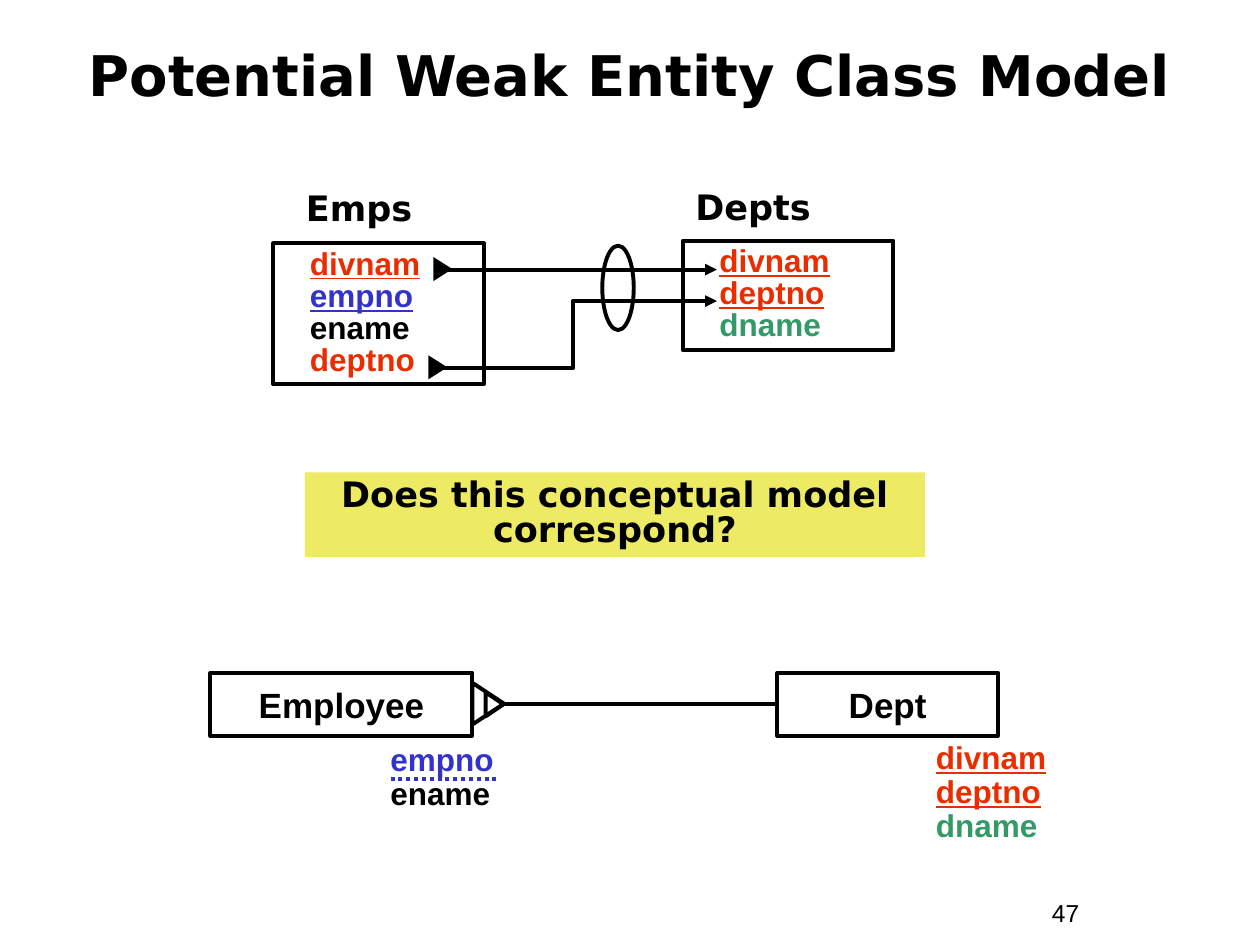
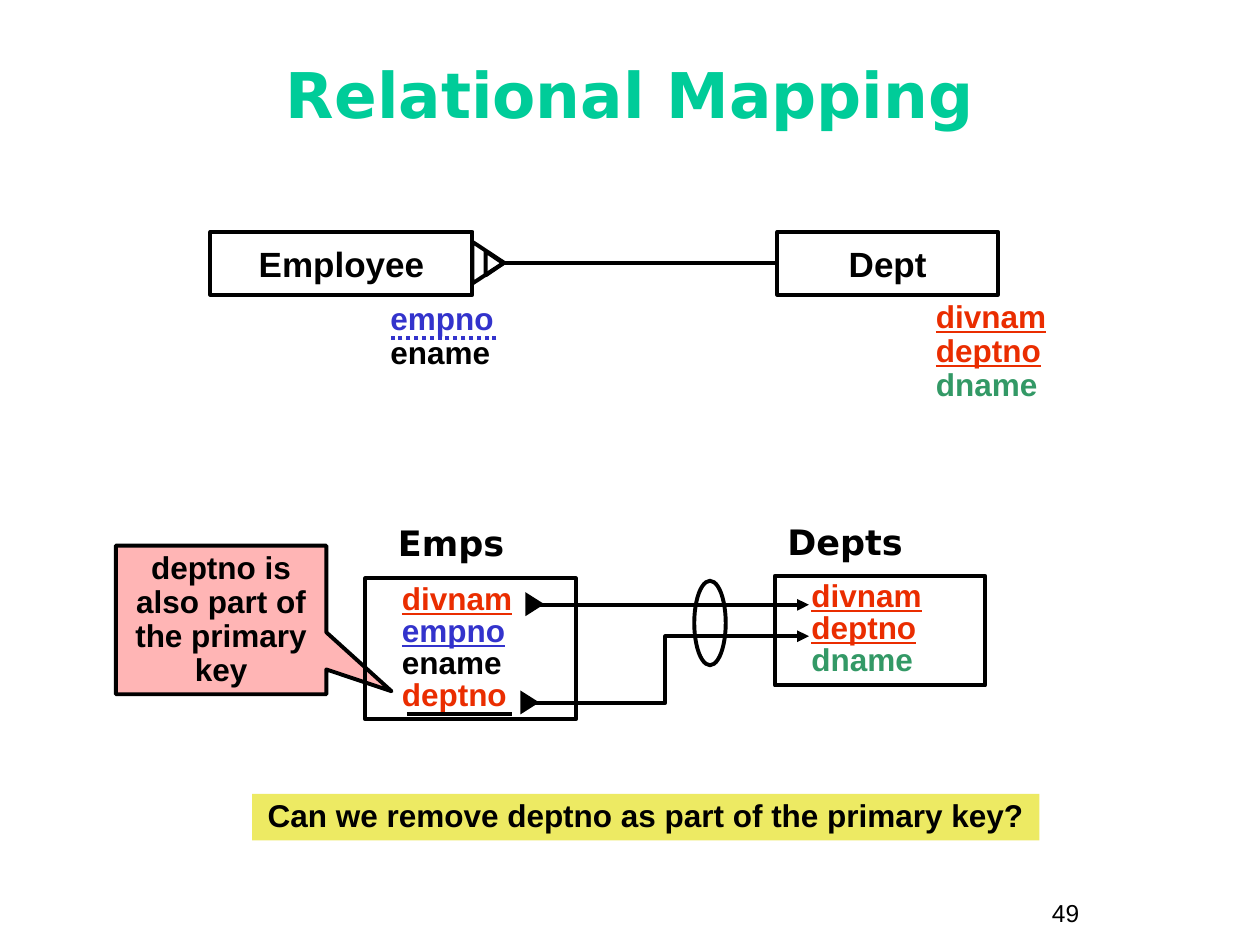
from lxml import etree
from pptx import Presentation
from pptx import util as u
from pptx.dml.color import RGBColor
from pptx.enum import dml, shapes, text
from pptx.oxml.ns import qn

BLACK = RGBColor(0x00, 0x00, 0x00)
RED = RGBColor(0xEA, 0x2D, 0x00)
BLUE = RGBColor(0x33, 0x33, 0xCC)
GREEN = RGBColor(0x33, 0x99, 0x66)
MINT = RGBColor(0x00, 0xCC, 0x99)
YELLOW = RGBColor(0xED, 0xEA, 0x63)
PINK = RGBColor(0xFF, 0xB5, 0xB5)

SANS, HEADING = "Arial", "DejaVu Sans"
COLUMNS, ROWS = 100, 75
LEFT, CENTER = text.PP_ALIGN.LEFT, text.PP_ALIGN.CENTER
TOP, MIDDLE = text.MSO_ANCHOR.TOP, text.MSO_ANCHOR.MIDDLE
KIND = shapes.MSO_SHAPE
LINK = shapes.MSO_CONNECTOR

# Attributes as (name, colour, underlined)
DEPT_ATTRIBUTES = [("divnam", RED, True), ("deptno", RED, True), ("dname", GREEN, False)]
EMPLOYEE_ATTRIBUTES = [("empno", BLUE, False), ("ename", BLACK, False)]
EMPS_COLUMNS = [("divnam", RED, True), ("empno", BLUE, True),
                ("ename", BLACK, False), ("deptno", RED, False)]


class Sketch:
    """Holds the deck, its style and the current page; lengths are grid columns and rows."""

    line_width = u.Pt(2.25)

    def __init__(self):
        self.deck = Presentation()
        self.deck.slide_width, self.deck.slide_height = u.Inches(10), u.Inches(7.5)
        self.page = None

    def x(self, columns):
        return round(self.deck.slide_width * columns / COLUMNS)

    def y(self, rows):
        return round(self.deck.slide_height * rows / ROWS)

    def area(self, left, top, width, height):
        return self.x(left), self.y(top), self.x(width), self.y(height)

    def start(self, title, top, size, color, number):
        self.page = self.deck.slides.add_slide(self.deck.slide_layouts[6])
        self.label((82.5, 70.8, 9.2, 3.4), [(number, BLACK, False)], size=14, bold=False)
        self.label((2.5, top, 95, 9.2), [(title, color, False)], size=size, name=HEADING,
                   align=CENTER, anchor=MIDDLE, spacing=0.85)

    def fill_text(self, box, lines, size=18, name=SANS, bold=True, align=LEFT,
                  anchor=TOP, spacing=1.0, indent=0.0):
        frame = box.text_frame
        layout = {"word_wrap": True, "vertical_anchor": anchor,
                  "margin_left": u.Inches(0.1 + indent), "margin_right": u.Inches(0.1),
                  "margin_top": u.Inches(0.05), "margin_bottom": u.Inches(0.05)}
        for key, value in layout.items():
            setattr(frame, key, value)
        for index, (words, color, underlined) in enumerate(lines):
            para = frame.add_paragraph() if index else frame.paragraphs[0]
            para.alignment, para.line_spacing = align, spacing
            span = para.add_run()
            span.text = words
            look = {"name": name, "size": u.Pt(size), "bold": bold, "underline": underlined}
            for key, value in look.items():
                setattr(span.font, key, value)
            span.font.color.rgb = color

    def label(self, area, lines, **style):
        self.fill_text(self.page.shapes.add_textbox(*self.area(*area)), lines, **style)

    def shape(self, kind, area, fill=None, outlined=True, lines=(), turn=0, **style):
        box = self.page.shapes.add_shape(kind, *self.area(*area))
        box.shadow.inherit = False
        box.rotation = turn
        if fill is None:
            box.fill.background()
        else:
            box.fill.solid()
            box.fill.fore_color.rgb = fill
        if outlined:
            box.line.color.rgb, box.line.width = BLACK, self.line_width
        else:
            box.line.fill.background()
        if lines:
            self.fill_text(box, lines, **style)
        return box

    def line(self, start, end, kind=LINK.STRAIGHT, color=BLACK, dash=None, arrow=False):
        link = self.page.shapes.add_connector(
            kind, self.x(start[0]), self.y(start[1]), self.x(end[0]), self.y(end[1]))
        link.line.color.rgb, link.line.width = color, self.line_width
        if dash:
            link.line.dash_style = dash
        properties = link._element.spPr
        if arrow:
            etree.SubElement(properties.find(qn("a:ln")), qn("a:tailEnd"), type="triangle")
        etree.SubElement(properties, qn("a:effectLst"))

    def banner(self, area, question, **style):
        self.shape(KIND.RECTANGLE, area, YELLOW, False, [(question, BLACK, False)],
                   align=CENTER, **style)

    def entity_model(self, top):
        # Entity boxes and their relationship
        for name, left, width in (("Dept", 61.7, 17.5), ("Employee", 16.7, 20.8)):
            self.shape(KIND.RECTANGLE, (left, top, width, 5), lines=[(name, BLACK, False)],
                       size=20, align=CENTER, anchor=MIDDLE)
        self.line((61.5, top + 2.5), (40, top + 2.5))
        # Attributes, with the partial key dotted
        self.label((73.3, top + 5, 14.2, 9.1), DEPT_ATTRIBUTES, spacing=0.9)
        self.label((30, top + 5.2, 16.7, 6.4), EMPLOYEE_ATTRIBUTES, spacing=0.9)
        self.line((39.4, top + 8.4), (30.8, top + 8.4), color=BLUE, dash=dml.MSO_LINE.ROUND_DOT)
        # Crow's foot
        for left, drop, width, height in ((37.1, 1.2, 3.3, 2.5), (38.3, 1.8, 1.9, 1.4)):
            self.shape(KIND.ISOSCELES_TRIANGLE, (left, top + drop, width, height), turn=90)

    def relation_model(self, left, top):
        right = left + 32.5
        # Headings and tables
        self.label((right, top - 5.1, 16.7, 4.4), [("Depts", BLACK, False)], size=20, name=HEADING)
        self.label((left + 1.6, top - 5, 15, 4.4), [("Emps", BLACK, False)], size=20, name=HEADING)
        for area, columns in (((right, top - 0.2, 16.7, 8.7), DEPT_ATTRIBUTES),
                              ((left, top, 16.7, 11.2), EMPS_COLUMNS)):
            self.shape(KIND.RECTANGLE, area, lines=columns, spacing=0.85, indent=0.19)
        # Foreign key: two arrows tied by a ring
        tip = right + 2.7
        self.line((left + 12.9, top + 2.1), (tip, top + 2.1), arrow=True)
        self.line((left + 12.4, top + 9.9), (tip, top + 4.6), LINK.ELBOW, arrow=True)
        self.shape(KIND.OVAL, (left + 26.1, top + 0.2, 2.5, 6.7))
        for shift, drop in ((12.1, 9.1), (12.5, 1.3)):
            self.shape(KIND.ISOSCELES_TRIANGLE, (left + shift, top + drop, 1.9, 1.5),
                       BLACK, False, turn=90)


def main():
    sketch = Sketch()

    # Weak entity model
    sketch.start("Potential Weak Entity Class Model", 1.7, 32, BLACK, "47")
    sketch.entity_model(53.4)
    sketch.banner((24.2, 37.5, 49.2, 6.7), "Does this conceptual model correspond?",
                  size=20, name=HEADING, spacing=0.85)
    sketch.relation_model(21.7, 19.3)

    # Relational mapping
    sketch.start("Relational Mapping", 3.3, 36, MINT, "49")
    sketch.entity_model(18.4)
    callout = sketch.shape(KIND.RECTANGULAR_CALLOUT, (9.2, 43.3, 16.7, 11.8), PINK,
                           lines=[("deptno is also part of the primary key", BLACK, False)],
                           align=CENTER, anchor=MIDDLE, spacing=0.9)
    callout.adjustments[0], callout.adjustments[1] = 0.81, 0.48
    sketch.banner((20, 63, 62.5, 3.7), "Can we remove deptno as part of the primary key?",
                  spacing=0.9)
    sketch.relation_model(29, 45.9)
    sketch.line((32.3, 56.7), (40.6, 56.7))

    sketch.deck.save("out.pptx")


if __name__ == "__main__":
    main()
